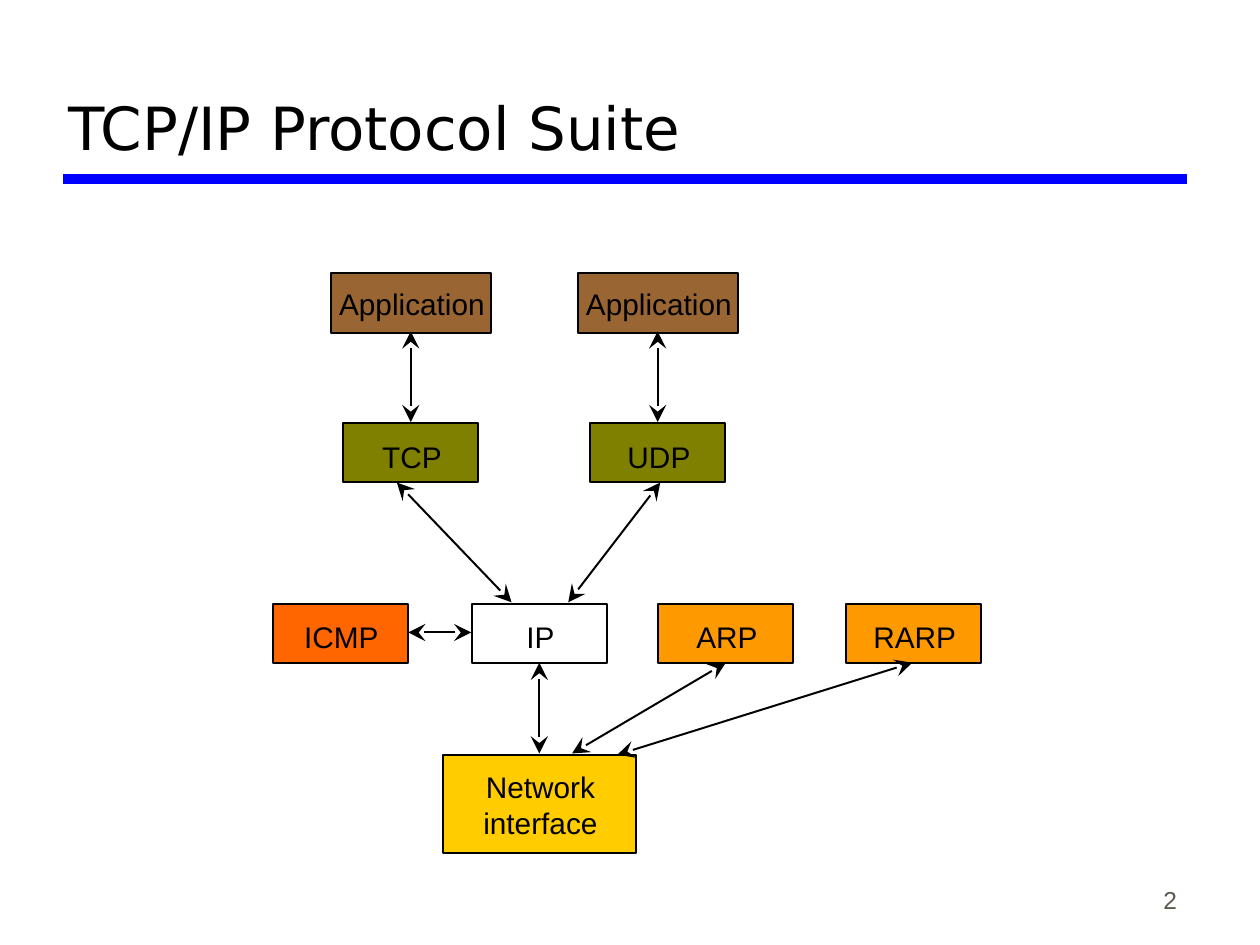
from dataclasses import dataclass
from typing import Optional

from lxml import etree
from pptx import Presentation
from pptx.dml.color import RGBColor
from pptx.enum.shapes import MSO_CONNECTOR, MSO_SHAPE
from pptx.enum.text import MSO_ANCHOR, MSO_AUTO_SIZE, PP_ALIGN
from pptx.oxml.ns import qn
from pptx.util import Inches, Pt

RECTANGLE, STRAIGHT = MSO_SHAPE.RECTANGLE, MSO_CONNECTOR.STRAIGHT
TOP, BOTTOM = MSO_ANCHOR.TOP, MSO_ANCHOR.BOTTOM
LEFT, CENTER, RIGHT = PP_ALIGN.LEFT, PP_ALIGN.CENTER, PP_ALIGN.RIGHT
NO_AUTOFIT = MSO_AUTO_SIZE.NONE

COLORS = {
    "ink": "000000", "rule": "0000FF", "number": "5E574E",
    "application": "996633", "transport": "808000", "control": "FF6600",
    "resolution": "FF9900", "link": "FFCC00",
}
LINE_WIDTH = 1.13


@dataclass
class Layer:
    """Size and vertical place shared by the boxes of one protocol layer."""
    top: float
    width: float
    height: float
    text_inset: float


@dataclass
class Box:
    label: str
    center: float
    layer: Layer
    fill: Optional[str] = None


@dataclass
class Arrow:
    x1: float
    y1: float
    x2: float
    y2: float


APPLICATION = Layer(2.17, 1.27, 0.47, 0.1)
TRANSPORT = Layer(3.36, 1.07, 0.47, 0.12)
INTERNET = Layer(4.79, 1.07, 0.47, 0.12)
LINK = Layer(5.99, 1.53, 0.78, 0.11)
TCP_X, UDP_X, IP_X = 3.26, 5.22, 4.28
ICMP_X, ARP_X, RARP_X = 2.7, 5.76, 7.25

BOXES = [
    Box("Application", TCP_X, APPLICATION, "application"),
    Box("Application", UDP_X, APPLICATION, "application"),
    Box("TCP", TCP_X, TRANSPORT, "transport"),
    Box("UDP", UDP_X, TRANSPORT, "transport"),
    Box("ICMP", ICMP_X, INTERNET, "control"),
    Box("IP", IP_X, INTERNET),
    Box("ARP", ARP_X, INTERNET, "resolution"),
    Box("RARP", RARP_X, INTERNET, "resolution"),
    Box("Network\ninterface", IP_X, LINK, "link"),
]
ARROWS = [
    Arrow(TCP_X, 2.63, TCP_X, 3.35),
    Arrow(UDP_X, 2.63, UDP_X, 3.35),
    Arrow(3.15, 3.83, 4.06, 4.78),
    Arrow(5.24, 3.83, 4.51, 4.78),
    Arrow(3.24, 5.02, 3.74, 5.02),
    Arrow(IP_X, 5.26, IP_X, 5.98),
    Arrow(ARP_X, 5.26, 4.54, 5.98),
    Arrow(7.24, 5.26, 4.9, 5.99),
]


def color(name: str) -> RGBColor:
    return RGBColor.from_string(COLORS[name])


def write(frame, text: str, size: float, ink: str, font: str, align) -> None:
    for index, words in enumerate(text.split("\n")):
        paragraph = frame.paragraphs[0] if index == 0 else frame.add_paragraph()
        paragraph.alignment = align
        run = paragraph.add_run()
        run.text = words
        run.font.size, run.font.name = Pt(size), font
        run.font.color.rgb = color(ink)


def draw_line(slide, line: Arrow, ink: str, width: float, heads: bool) -> None:
    connector = slide.shapes.add_connector(
        STRAIGHT, Inches(line.x1), Inches(line.y1), Inches(line.x2), Inches(line.y2))
    connector.line.color.rgb = color(ink)
    connector.line.width = Pt(width)
    if heads:
        outline = connector.line._get_or_add_ln()
        for end in ("a:headEnd", "a:tailEnd"):
            etree.SubElement(outline, qn(end), type="stealth", w="lg", len="lg")
    etree.SubElement(connector._element.spPr, qn("a:effectLst"))


def draw_box(slide, box: Box) -> None:
    layer = box.layer
    shape = slide.shapes.add_shape(
        RECTANGLE, Inches(box.center - layer.width / 2), Inches(layer.top),
        Inches(layer.width), Inches(layer.height))
    shape.shadow.inherit = False
    if box.fill:
        shape.fill.solid()
        shape.fill.fore_color.rgb = color(box.fill)
    else:
        shape.fill.background()
    shape.line.color.rgb = color("ink")
    shape.line.width = Pt(LINE_WIDTH)
    frame = shape.text_frame
    frame.word_wrap = False
    frame.vertical_anchor = TOP
    frame.margin_left, frame.margin_right = Inches(0.02), 0
    frame.margin_top, frame.margin_bottom = Inches(layer.text_inset), 0
    write(frame, box.label, 17, "ink", "Arial", CENTER)


presentation = Presentation()
presentation.slide_width, presentation.slide_height = Inches(10), Inches(7.5)
slide = presentation.slides.add_slide(presentation.slide_layouts[5])

# Title and rule
title = slide.shapes.title
title.left, title.top = Inches(0.44), Inches(0.17)
title.width, title.height = Inches(8.97), Inches(1.17)
title.text_frame.vertical_anchor = BOTTOM
title.text_frame.auto_size = NO_AUTOFIT
write(title.text_frame, "TCP/IP Protocol Suite", 34, "ink", "DejaVu Sans", LEFT)
draw_line(slide, Arrow(0.5, 1.42, 9.42, 1.42), "rule", 6, heads=False)

# Protocol layers and their links
for protocol in BOXES:
    draw_box(slide, protocol)
for link in ARROWS:
    draw_line(slide, link, "ink", LINE_WIDTH, heads=True)

# Page number
page_number = slide.shapes.add_textbox(
    Inches(7.36), Inches(6.81), Inches(2.08), Inches(0.5)).text_frame
page_number.word_wrap = True
page_number.vertical_anchor = BOTTOM
write(page_number, "2", 14, "number", "Arial", RIGHT)

presentation.save("out.pptx")
